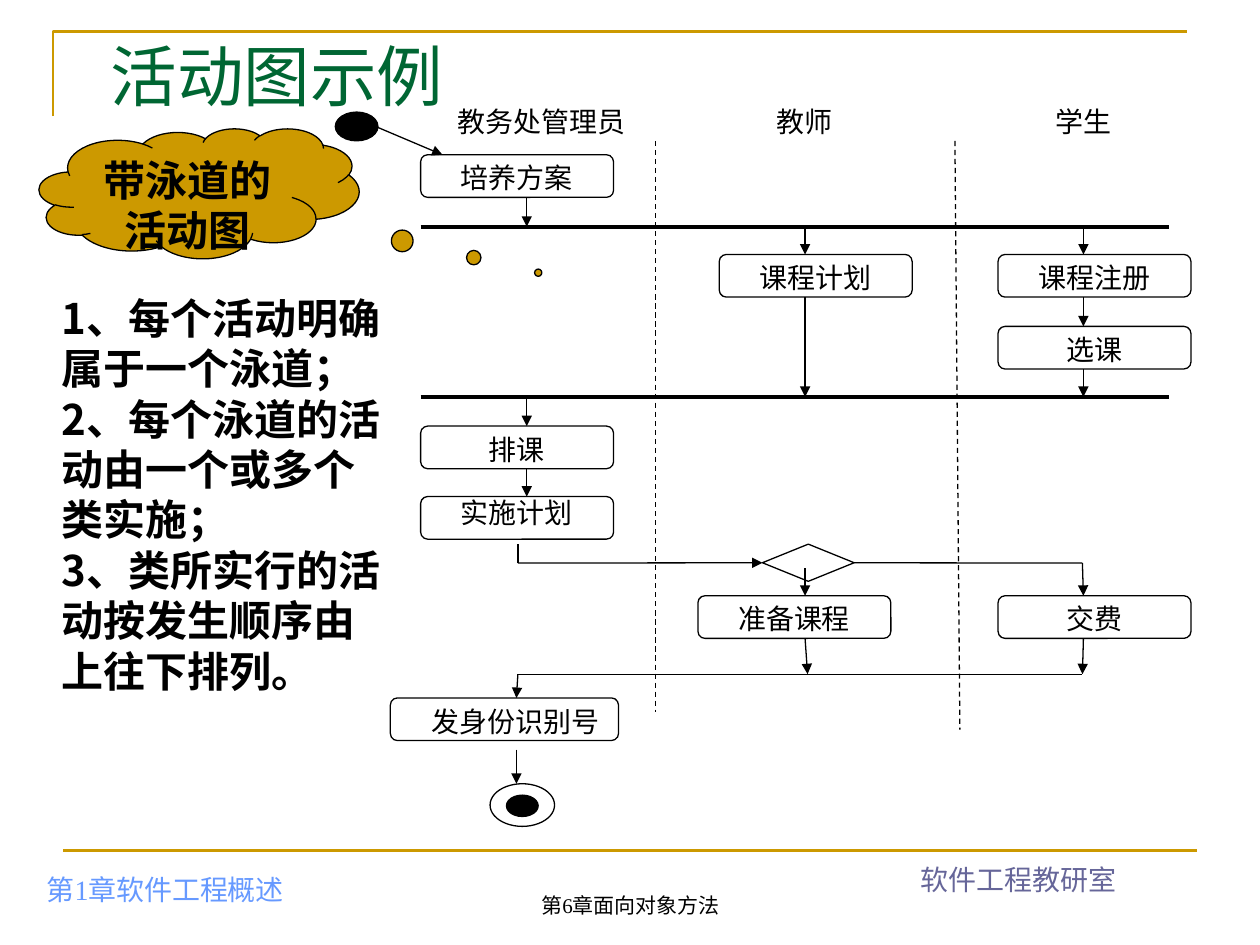
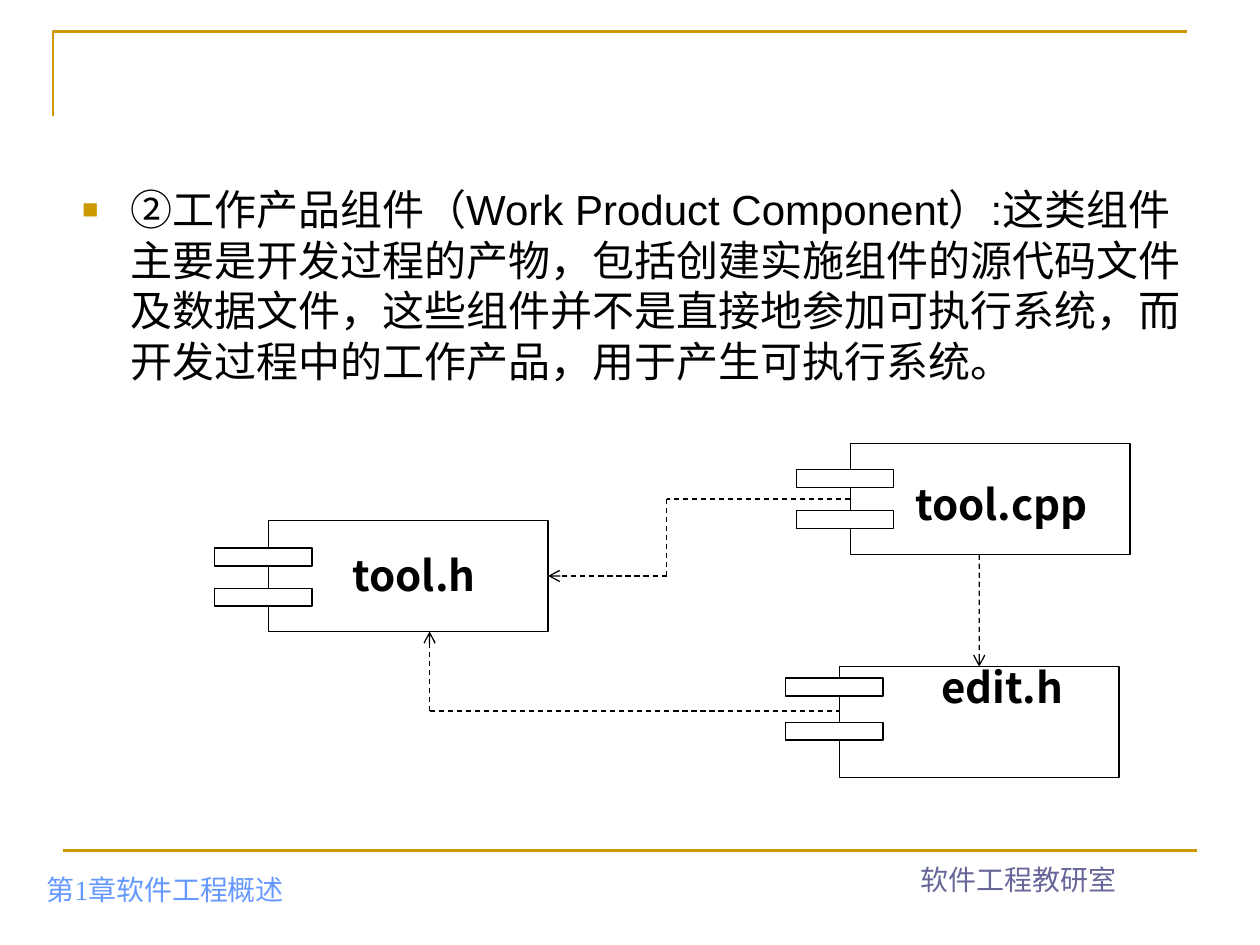
from lxml import etree
from pptx import Presentation
from pptx.dml.color import RGBColor
from pptx.enum.dml import MSO_LINE
from pptx.enum.shapes import MSO_CONNECTOR, MSO_SHAPE
from pptx.enum.text import MSO_ANCHOR, MSO_AUTO_SIZE, PP_ALIGN
from pptx.oxml.ns import qn
from pptx.util import Cm, Pt

STRAIGHT = MSO_CONNECTOR.STRAIGHT
DASH = MSO_LINE.DASH
RECT, ROUND = MSO_SHAPE.RECTANGLE, MSO_SHAPE.ROUNDED_RECTANGLE
OVAL, DIAMOND, CLOUD = MSO_SHAPE.OVAL, MSO_SHAPE.DIAMOND, MSO_SHAPE.CLOUD_CALLOUT
TOP, BOTTOM = MSO_ANCHOR.TOP, MSO_ANCHOR.BOTTOM
LEFT, CENTER = PP_ALIGN.LEFT, PP_ALIGN.CENTER

BLACK, WHITE, GOLD, GREEN = "000000", "FFFFFF", "CC9900", "006633"
SKY, SLATE = "6699FF", "666699"
SERIF, SANS, CJK = "Times New Roman", "Calibri", "Noto Sans CJK SC"

TITLE_STYLE = {"name": SERIF, "size": Pt(38), "color": GREEN}
LABEL_STYLE = {"name": SANS, "size": Pt(16), "color": BLACK}
STRONG_STYLE = {"name": CJK, "size": Pt(24), "bold": True, "color": BLACK}
BODY_STYLE = {"name": "Arial", "size": Pt(24), "color": BLACK}

ADMIN, TEACHER, STUDENT = 10.62, 16.23, 21.84
BOX_WIDTH, BOX_HEIGHT = 3.89, 0.86
FORK, JOIN, MERGE, DECISION = 4.57, 8.0, 13.59, 11.35
COMPONENT_WIDTH, COMPONENT_HEIGHT = 5.64, 2.24


def rgb(value):
    """Turn a hex string into a colour."""
    return RGBColor.from_string(value)


def lengths(values):
    """Turn centimetre numbers into lengths."""
    return [Cm(value) for value in values]


def style_font(font, style):
    """Apply a dict of format values to a font."""
    for name, value in style.items():
        if name == "color":
            font.color.rgb = rgb(value)
        else:
            setattr(font, name, value)


def write(shape, lines, style, align=LEFT, anchor=TOP):
    """Fill a shape with one formatted paragraph per line."""
    frame = shape.text_frame
    settings = {"word_wrap": True, "auto_size": MSO_AUTO_SIZE.NONE,
                "vertical_anchor": anchor}
    for name, value in settings.items():
        setattr(frame, name, value)
    for index, line in enumerate(lines):
        para = frame.add_paragraph() if index else frame.paragraphs[0]
        para.alignment = align
        span = para.add_run()
        span.text = line
        style_font(span.font, style)


def add_text(page, place, lines, style, align=LEFT, anchor=TOP):
    """Add a text box."""
    box = page.shapes.add_textbox(*lengths(place))
    write(box, lines, style, align, anchor)
    return box


def paint(shape, fill, line, weight=0.75):
    """Set fill and outline, None meaning without, and drop the shadow."""
    shape.shadow.inherit = False
    if fill:
        shape.fill.solid()
        shape.fill.fore_color.rgb = rgb(fill)
    else:
        shape.fill.background()
    if line:
        shape.line.color.rgb = rgb(line)
        shape.line.width = Pt(weight)
    else:
        shape.line.fill.background()


def add_form(page, kind, place, fill=WHITE, line=BLACK):
    """Add a preset shape."""
    form = page.shapes.add_shape(kind, *lengths(place))
    paint(form, fill, line)
    return form


def add_line(page, ends, head=None, dash=None, color=BLACK, weight=0.75):
    """Add a straight line, with an arrowhead at its end if named."""
    link = page.shapes.add_connector(STRAIGHT, *lengths(ends))
    link.line.color.rgb = rgb(color)
    link.line.width = Pt(weight)
    if dash:
        link.line.dash_style = dash
    if head:
        tail = etree.SubElement(link.line._get_or_add_ln(), qn("a:tailEnd"))
        tail.set("type", head)
    etree.SubElement(link._element.spPr, qn("a:effectLst"))
    return link


def add_activity(page, text, left, top, width=BOX_WIDTH, label=3.02, lift=0):
    """Add an activity box with its label."""
    add_form(page, ROUND, (left, top, width, BOX_HEIGHT))
    add_text(page, (left + 0.43, top - lift, label, BOX_HEIGHT), [text],
             LABEL_STYLE, CENTER)


def add_component(page, name, left, top, label_place, tabs, indent=0):
    """Add a component box with its two tabs and its name."""
    body = add_form(page, RECT, (left, top, COMPONENT_WIDTH, COMPONENT_HEIGHT), None)
    for offset in tabs:
        add_form(page, RECT, (left - 1.08, top + offset, 1.96, 0.36))
    label = add_text(page, (*label_place, 5.87, 1.27), [name], STRONG_STYLE, CENTER)
    label.text_frame.paragraphs[0]._p.get_or_add_pPr().set("marL", str(Cm(indent)))
    return body


def add_bullet(para, color, percent, char, indent):
    """Give a paragraph a coloured bullet and a hanging indent."""
    props = para._p.get_or_add_pPr()
    props.set("marL", str(Cm(indent)))
    props.set("indent", str(-Cm(indent)))
    tint = etree.SubElement(props, qn("a:buClr"))
    etree.SubElement(tint, qn("a:srgbClr")).set("val", color)
    etree.SubElement(props, qn("a:buSzPct")).set("val", str(percent * 1000))
    etree.SubElement(props, qn("a:buFont")).set("typeface", "Arial")
    etree.SubElement(props, qn("a:buChar")).set("char", char)


def move(shape, place):
    """Move and resize a placeholder."""
    for name, value in zip(("left", "top", "width", "height"), lengths(place)):
        setattr(shape, name, value)


def add_footer(page, text, left, top, size, color, width=8.05, align=CENTER):
    """Add one footer text."""
    style = {"name": SERIF, "size": Pt(size), "color": color}
    add_text(page, (left, top, width, 1.27), [text], style, align, BOTTOM)


def add_page(deck, layout):
    """Add a slide with the shared frame and footers."""
    page = deck.slides.add_slide(deck.slide_layouts[layout])
    outline = page.shapes.build_freeform(Cm(1.07), Cm(2.34))
    corners = [lengths((1.07, 0.64)), lengths((23.93, 0.64))]
    outline.add_line_segments(corners, close=False)
    paint(outline.convert_to_shape(), None, GOLD, 1.5)
    add_line(page, (1.27, 17.15, 24.13, 17.15), color=GOLD, weight=1.5)
    add_footer(page, "第1章软件工程概述", 0.69, 17.12, 16, SKY, 8.0, LEFT)
    add_footer(page, "软件工程教研室", 16.51, 16.92, 16, SLATE)
    return page


def add_swimlanes(page):
    """Add lane headings, lane borders and synchronisation bars."""
    for text, left, width in (("教务处管理员", 8.92, 3.99), ("教师", 14.5, 3.45),
                              ("学生", 20.12, 3.45)):
        heading = add_form(page, RECT, (left, 1.98, width, 1.14), WHITE, None)
        write(heading, [text], LABEL_STYLE, CENTER)
    for border in ((13.21, 2.84, 13.21, 14.35), (19.25, 2.84, 19.35, 14.71)):
        add_line(page, border, dash=DASH)
    for bar in (FORK, JOIN):
        add_line(page, (8.48, bar, 23.57, bar), weight=2.25)


def add_flow(page):
    """Add the activities and the arrows between them."""
    for text, left, top in (("培养方案", 8.48, 3.12), ("课程计划", 14.5, 5.13),
                            ("课程注册", 20.12, 5.13), ("选课", 20.12, 6.58),
                            ("排课", 8.48, 8.59), ("准备课程", 14.07, 12.01),
                            ("交费", 20.12, 12.01)):
        add_activity(page, text, left, top)
    add_activity(page, "实施计划", 8.48, 10.01, lift=0.15)
    add_activity(page, "发身份识别号", 7.87, 14.07, 4.6, 4.19)

    add_form(page, OVAL, (6.76, 2.26, 0.86, 0.58), BLACK)
    add_form(page, OVAL, (10.21, 16.03, 0.64, 0.43), BLACK)
    add_form(page, OVAL, (9.88, 15.8, 1.3, 0.86), None)
    decision = add_form(page, DIAMOND, (15.37, 10.97, 1.85, 0.75))

    for lane, start, end in ((ADMIN, 3.99, FORK), (TEACHER, FORK, 5.13),
                             (STUDENT, FORK, 5.13), (TEACHER, 5.99, JOIN),
                             (STUDENT, 5.99, 6.58), (STUDENT, 7.44, JOIN),
                             (ADMIN, JOIN, 8.59), (ADMIN, 9.45, 10.01),
                             (TEACHER, 11.46, 12.01), (10.41, 15.11, 15.8)):
        add_line(page, (lane, start, lane, end), "triangle")
    for ends in ((7.62, 2.57, 8.92, 3.12), (21.82, DECISION, STUDENT, 12.01),
                 (TEACHER, 12.88, 16.28, MERGE), (STUDENT, 12.88, 21.82, MERGE),
                 (10.44, MERGE, 10.41, 14.07)):
        add_line(page, ends, "triangle")
    add_line(page, (10.44, MERGE, 21.82, MERGE))
    add_line(page, (10.44, 10.97, 10.44, DECISION))
    add_line(page, (10.44, DECISION, 15.37, DECISION), "triangle").end_connect(decision, 1)
    add_line(page, (17.22, DECISION, 21.82, DECISION)).begin_connect(decision, 3)


def build_activity_page(deck):
    """Build the swimlane activity diagram slide."""
    page = add_page(deck, 5)
    add_footer(page, "第6章面向对象方法", 8.69, 17.35, 12, BLACK)
    title = page.shapes.title
    move(title, (1.98, 0.58, 9.45, 1.4))
    write(title, ["活动图示例"], TITLE_STYLE)
    cloud = add_form(page, CLOUD, (0.79, 2.59, 6.45, 2.62), GOLD)
    cloud.adjustments[0], cloud.adjustments[1] = 1.06, 0.61
    write(cloud, ["带泳道的活动图"], STRONG_STYLE, CENTER)
    add_swimlanes(page)
    add_flow(page)
    rules = ["1、每个活动明确属于一个泳道；",
             "2、每个泳道的活动由一个或多个类实施；",
             "3、类所实行的活动按发生顺序由上往下排列。"]
    add_text(page, (0.99, 5.77, 6.93, 9.4), rules, STRONG_STYLE)


def build_component_page(deck):
    """Build the work product component slide."""
    page = add_page(deck, 1)
    title = page.shapes.title._element
    title.getparent().remove(title)
    body = page.placeholders[1]
    move(body, (1.4, 3.58, 22.86, 4.57))
    para = body.text_frame.paragraphs[0]
    add_bullet(para, GOLD, 65, "■", 0.97)
    para.space_before = Pt(0)
    write(body, ["②工作产品组件（Work Product Component）:这类组件主要是开发过程的产物，"
                 "包括创建实施组件的源代码文件及数据文件，这些组件并不是直接地参加可执行系统，"
                 "而开发过程中的工作产品，用于产生可执行系统。"], BODY_STYLE)

    source = add_component(page, "tool.cpp", 17.14, 8.94, (16.87, 9.53), (0.53, 1.35), 0.76)
    editor = add_component(page, "edit.h", 16.92, 13.44, (16.89, 13.21), (0.23, 1.12), 0.76)
    header = add_component(page, "tool.h", 5.41, 10.49, (5.41, 10.95), (0.56, 1.37))

    add_line(page, (19.74, 11.18, 19.74, 13.44), "arrow", DASH).end_connect(editor, 0)
    add_line(page, (8.66, 14.33, 16.92, 14.33), dash=DASH)
    add_line(page, (8.66, 14.33, 8.66, 12.73), "arrow", DASH)
    add_line(page, (17.14, 10.06, 13.44, 10.06), dash=DASH).begin_connect(source, 1)
    add_line(page, (13.44, 10.06, 13.44, 11.61), dash=DASH)
    add_line(page, (13.44, 11.61, 11.05, 11.61), "arrow", DASH).end_connect(header, 3)


def main():
    """Build and save the deck."""
    deck = Presentation()
    deck.slide_width, deck.slide_height = lengths((25.4, 19.05))
    build_activity_page(deck)
    build_component_page(deck)
    deck.save("out.pptx")


if __name__ == "__main__":
    main()
